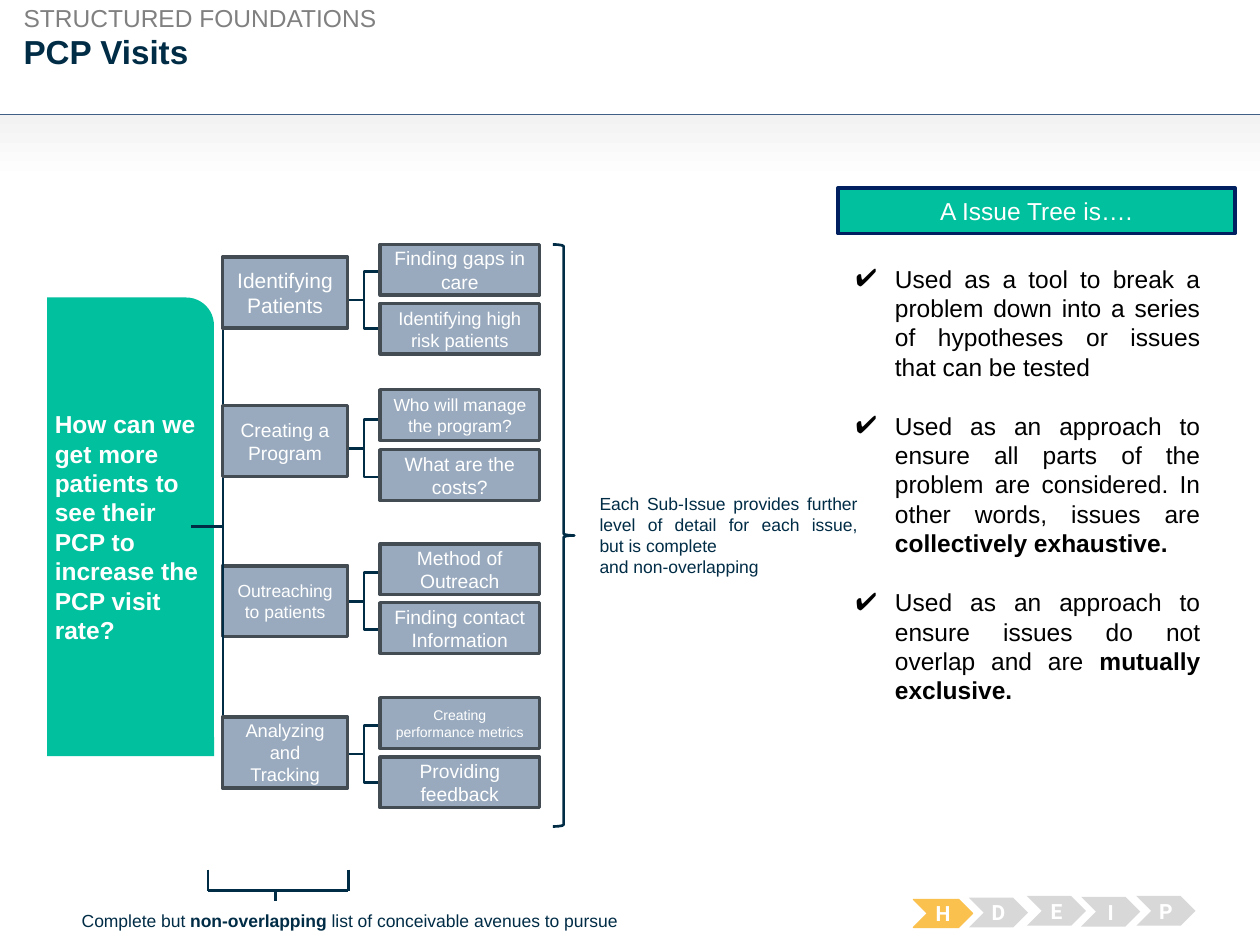
"""Build the PCP Visits issue tree slide."""
from copy import deepcopy

from lxml import etree
from pptx import Presentation
from pptx.dml.color import RGBColor
from pptx.enum.shapes import MSO_CONNECTOR, MSO_SHAPE
from pptx.enum.text import MSO_ANCHOR, MSO_AUTO_SIZE, PP_ALIGN
from pptx.oxml.ns import qn
from pptx.util import Pt

LEFT, CENTER, JUSTIFY = PP_ALIGN.LEFT, PP_ALIGN.CENTER, PP_ALIGN.JUSTIFY
TOP, MIDDLE = MSO_ANCHOR.TOP, MSO_ANCHOR.MIDDLE
STRAIGHT, ELBOW = MSO_CONNECTOR.STRAIGHT, MSO_CONNECTOR.ELBOW
RECT, CHEVRON = MSO_SHAPE.RECTANGLE, MSO_SHAPE.CHEVRON
ROUND1, BRACE = MSO_SHAPE.ROUND_1_RECTANGLE, MSO_SHAPE.RIGHT_BRACE
NO_AUTOFIT = MSO_AUTO_SIZE.NONE
NAVY, GREEN, WHITE, GREY = "002C46", "00C09D", "FFFFFF", "D8D8D8"

rgb = RGBColor.from_string


def style(s, text, size, color, align=LEFT, anchor=TOP, insets=(7.2, 3.6, 7.2, 3.6),
          fill=None, line=None, width=2, font="Arial"):
    """Fill and outline a shape and write its text, with **bold** parts."""
    if fill:
        s.shadow.inherit = False
        s.fill.solid()
        s.fill.fore_color.rgb = rgb(fill)
        if line:
            s.line.color.rgb = rgb(line)
            s.line.width = Pt(width)
        else:
            s.line.fill.background()
    tf = s.text_frame
    tf.word_wrap = True
    tf.auto_size = NO_AUTOFIT
    tf.vertical_anchor = anchor
    tf.margin_left, tf.margin_top, tf.margin_right, tf.margin_bottom = map(Pt, insets)
    tf.text = text.replace("**", "")
    for p, content in zip(tf.paragraphs, text.split("\n")):
        p.alignment = align
        p.clear()
        for i, part in enumerate(content.split("**")):
            for j, piece in enumerate(part.split("\v")):
                if j:
                    p.add_line_break()
                if piece:
                    r = p.add_run()
                    r.text = piece
                    r.font.name = font
                    r.font.size = Pt(size)
                    r.font.bold = i % 2 == 1
                    r.font.color.rgb = rgb(color)
        for br in p._p.findall(qn("a:br")):
            br.append(deepcopy(p.runs[0]._r.rPr))


def connect(kind, x1, y1, x2, y2, color=NAVY, width=1.5, bend=None):
    """Draw a connector, with the bend in thousandths of a percent."""
    c = shapes.add_connector(kind, Pt(x1), Pt(y1), Pt(x2), Pt(y2))
    c.line.color.rgb = rgb(color)
    c.line.width = Pt(width)
    spPr = c._element.spPr
    etree.SubElement(spPr, qn("a:effectLst"))
    if bend is not None:
        av = spPr.find(qn("a:prstGeom")).get_or_add_avLst()
        etree.SubElement(av, qn("a:gd"), name="adj1", fmla=f"val {bend}")


prs = Presentation()
prs.slide_width, prs.slide_height = Pt(720), Pt(540)
slide = prs.slides.add_slide(prs.slide_layouts[1])
shapes = slide.shapes

band = shapes.add_shape(RECT, 0, Pt(65.5), Pt(720), Pt(37.5))
band.shadow.inherit = False
band.line.fill.background()
band.fill.gradient()
band.fill.gradient_angle = 270
for stop, color, position in zip(band.fill.gradient_stops, ("F2F2F2", WHITE), (0, 1)):
    stop.color.rgb = rgb(color)
    stop.position = position
connect(STRAIGHT, 0, 65.5, 720, 65.5, "406085", 0.75)

title = shapes.title
title.left, title.top, title.width, title.height = Pt(13.5), Pt(18), Pt(679), Pt(24)
style(title, "**PCP Visits**", 19, NAVY, insets=(0, 0, 0, 0))
s = shapes.add_textbox(Pt(13.5), Pt(1.5), Pt(210), Pt(17))
style(s, "STRUCTURED FOUNDATIONS", 14, "808080", insets=(0, 0, 0, 0))

s = shapes.add_shape(ROUND1, Pt(27), Pt(170), Pt(95.3), Pt(262))
s.adjustments[0] = 0.167
style(s, "**How can we get more patients to see their PCP to increase the PCP visit rate?**",
      14, WHITE, anchor=MIDDLE, insets=(4.3, 0, 0, 0), fill=GREEN)

issues = [
    ("Identifying\vPatients", 12, 147, 171.4,
     [("Finding gaps in care", 11, 139.7), ("Identifying high risk patients", 10.5, 173.3)]),
    ("Creating a Program", 11, 231.8, 256.2,
     [("Who will manage the program?", 10, 222.7), ("What are the costs?", 11, 257)]),
    ("Outreaching to patients", 10, 323.3, 343.6,
     [("Method of Outreach", 11, 310.8), ("Finding contact Information", 11, 344.4)]),
    ("Analyzing and Tracking", 10.5, 409.7, 430.8,
     [("Creating performance metrics", 8, 398.7), ("Providing feedback", 11, 432.6)]),
]
connect(STRAIGHT, 109.3, 301, 127.5, 301)
for issue, size, top, y, subs in issues:
    connect(ELBOW, 109.3, 301, 127.5, y, bend=100000)
    for end in (y - 16.3, y + 16.3):
        connect(ELBOW, 199, y, 217, end)
    s = shapes.add_shape(RECT, Pt(127.2), Pt(top), Pt(71.5), Pt(40.5))
    style(s, issue, size, WHITE, CENTER, MIDDLE, fill="99AABE", line="434B53")
    for sub, sub_size, sub_top in subs:
        s = shapes.add_shape(RECT, Pt(217.3), Pt(sub_top), Pt(91), Pt(29))
        style(s, sub, sub_size, WHITE, CENTER, MIDDLE, fill="99AABE", line="434B53")

brace = shapes.add_shape(BRACE, Pt(316), Pt(139.7), Pt(12.2), Pt(332.6))
brace.adjustments[0], brace.adjustments[1] = 0.083, 0.5
brace.shadow.inherit = False
brace.fill.background()
brace.line.color.rgb = rgb(NAVY)
brace.line.width = Pt(1.5)
s = shapes.add_textbox(Pt(335.5), Pt(278), Pt(161.5), Pt(55.5))
style(s, "Each Sub-Issue provides further\vlevel of detail for each issue,\vbut is complete\n"
      "and non-overlapping", 10, NAVY, JUSTIFY)

for x1, y1, x2, y2 in [(118.8, 497, 118.8, 509), (199, 497, 199, 509),
                       (118.8, 509, 199, 509), (157.5, 509.5, 157.5, 515)]:
    connect(STRAIGHT, x1, y1, x2, y2)
s = shapes.add_textbox(Pt(39.6), Pt(516.3), Pt(336), Pt(19.4))
style(s, "Complete but **non-overlapping** list of conceivable avenues to pursue", 10, NAVY)

s = shapes.add_shape(RECT, Pt(478.8), Pt(107.5), Pt(227), Pt(26))
style(s, "A Issue Tree is….", 14, WHITE, CENTER, MIDDLE, fill=GREEN, line="002060")

body = slide.placeholders[1]
body.left, body.top, body.width, body.height = Pt(481.7), Pt(147), Pt(211.5), Pt(262)
style(body, "Used as a tool to break a problem down into a series of hypotheses or issues "
      "that can be tested\n"
      "Used as an approach to ensure all parts of the problem are considered. In other words, "
      "issues are **collectively exhaustive.**\n"
      "Used as an approach to ensure issues do not overlap and are **mutually exclusive.**",
      14, "000000", JUSTIFY)
for i, p in enumerate(body.text_frame.paragraphs):
    pPr = p._p.get_or_add_pPr()
    pPr.set("marL", str(Pt(22.5)))
    pPr.set("indent", str(Pt(-22.5)))
    color = etree.SubElement(pPr, qn("a:buClr"))
    etree.SubElement(color, qn("a:srgbClr"), val="000000")
    etree.SubElement(pPr, qn("a:buFont"), typeface="Arial")
    etree.SubElement(pPr, qn("a:buChar"), char="✔")
    p.space_before = Pt(16.8 if i else 0)

for letter, left, top, height, color in [
        ("H", 522, 514, 16, "FBC14E"), ("D", 553.7, 513, 17, GREY), ("E", 586.8, 512, 17, GREY),
        ("I", 617.8, 512.5, 17, GREY), ("P", 649.4, 512, 17, GREY)]:
    s = shapes.add_shape(CHEVRON, Pt(left), Pt(top), Pt(33.8), Pt(height))
    style(s, f"**{letter}**", 12, WHITE, CENTER, MIDDLE, fill=color,
          line=color if letter == "H" else None, width=0.75, font="Roboto")
    s.text_frame.word_wrap = False

prs.save("out.pptx")
